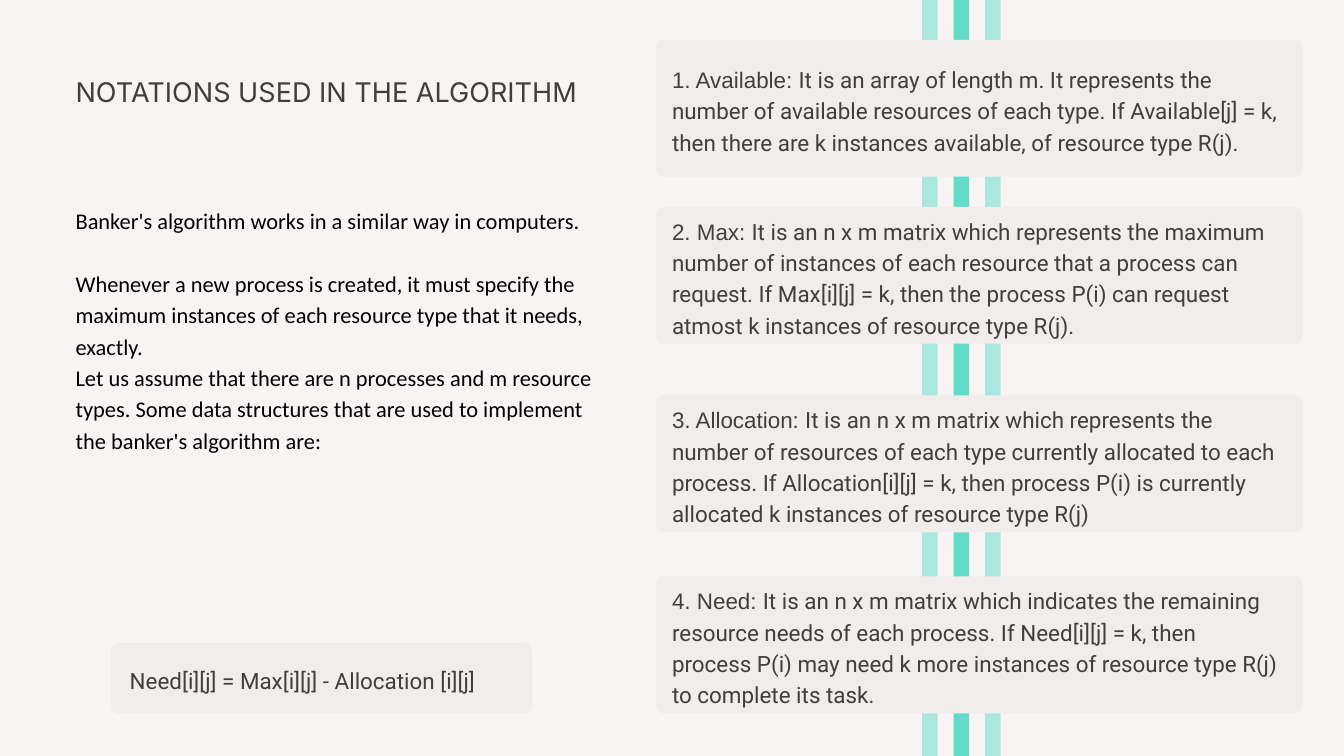
import pptx
import pptx.dml.color
import pptx.enum.shapes
import pptx.enum.text
import pptx.oxml
import pptx.oxml.ns
import pptx.util

Pt = pptx.util.Pt
SHAPES = pptx.enum.shapes.MSO_SHAPE

COLORS = {
    "page": "F8F4F4",
    "card": "F2EDED",
    "mint": "62DBC8",
    "ink": "403F3D",
    "black": "000000",
}

CARD_LEFT, CARD_WIDTH, CARD_HEIGHT = 703, 692.8, 146.7
LINE = 32.4

# Top of the card, number of text lines, term, meaning
TERMS = [
    (42.6, 3, "1. Available: ",
     "It is an array of length m. It represents the number of available "
     "resources of each type. If Available[j] = k, then there are k instances "
     "available, of resource type R(j)."),
    (221.6, 4, "2. Max: ",
     "It is an n x m matrix which represents the maximum number of instances "
     "of each resource that a process can request. If Max[i][j] = k, then the "
     "process P(i) can request atmost k instances of resource type R(j)."),
    (423.6, 4, "3. Allocation: ",
     "It is an n x m matrix which represents the number of resources of each "
     "type currently allocated to each process. If Allocation[i][j] = k, then "
     "process P(i) is currently allocated k instances of resource type R(j)"),
    (617.6, 4, "4. Need: ",
     "It is an n x m matrix which indicates the remaining resource needs of "
     "each process. If Need[i][j] = k, then process P(i) may need k more "
     "instances of resource type R(j) to complete its task."),
]

INTRO = [
    "Banker's algorithm works in a similar way in computers.",
    "Whenever a new process is created, it must specify the maximum instances "
    "of each resource type that it needs, exactly.",
    "Let us assume that there are n processes and m resource types. Some data "
    "structures that are used to implement the banker's algorithm are:",
]


def color(name):
    return pptx.dml.color.RGBColor.from_string(COLORS[name])


def write(para, text, font="Roboto", size=24, ink="ink", lead=33.6, after=0):
    """Add a run to the paragraph and set the paragraph's spacing."""
    run = para.add_run()
    run.text = text
    run.font.name = font
    run.font.size = Pt(size)
    run.font.color.rgb = color(ink)
    para.line_spacing = Pt(lead)
    para.space_after = Pt(after)


class Deck:
    """Holds the presentation, the current slide and its style."""

    def __init__(self, width, height):
        self.show = pptx.Presentation()
        self.show.slide_width = Pt(width)
        self.show.slide_height = Pt(height)
        self.slide = self.show.slides.add_slide(self.show.slide_layouts[6])
        fill = self.slide.background.fill
        fill.solid()
        fill.fore_color.rgb = color("page")

    def shape(self, kind, box, fill):
        shape = self.slide.shapes.add_shape(kind, *map(Pt, box))
        shape.shadow.inherit = False
        shape.fill.solid()
        shape.fill.fore_color.rgb = color(fill)
        shape.line.fill.background()
        return shape

    def bar(self, box, alpha=100):
        bar = self.shape(SHAPES.RECTANGLE, box, "mint")
        if alpha < 100:
            tint = bar.fill._xPr.find(".//" + pptx.oxml.ns.qn("a:srgbClr"))
            node = pptx.oxml.parse_xml(
                f'<a:alpha {pptx.oxml.ns.nsdecls("a")} val="{alpha * 1000}"/>')
            tint.append(node)

    def card(self, box, radius=7.6):
        card = self.shape(SHAPES.ROUNDED_RECTANGLE, box, "card")
        card.adjustments[0] = radius / min(box[2:])

    def text(self, box, paras, **style):
        """Draw paragraphs, each a list of (text, format) runs."""
        frame = self.slide.shapes.add_textbox(*map(Pt, box)).text_frame
        frame.word_wrap = True
        frame.auto_size = pptx.enum.text.MSO_AUTO_SIZE.SHAPE_TO_FIT_TEXT
        frame.margin_left = frame.margin_right = 0
        frame.margin_top = frame.margin_bottom = 0
        for i, runs in enumerate(paras):
            para = frame.add_paragraph() if i else frame.paragraphs[0]
            for text, form in runs:
                write(para, text, **{**style, **form})


def main():
    deck = Deck(1440, 810)
    for i, alpha in enumerate((50, 100, 50)):
        deck.bar((988 + 33.7 * i, 0, 16.7, 810), alpha)

    deck.text((81, 84, 565, 33), [[("NOTATIONS USED IN THE ALGORITHM", {})]],
              font="Inter", size=29, lead=31.9)
    gaps = (33.6, 0, 0)
    deck.text((81, 217.5, 565, 296),
              [[(text, {"after": gap})] for text, gap in zip(INTRO, gaps)],
              font="Calibri", ink="black")

    for top, lines, term, text in TERMS:
        deck.card((CARD_LEFT, top, CARD_WIDTH, CARD_HEIGHT))
        height = lines * LINE
        start = top + (CARD_HEIGHT - height) / 2 - 1.5
        deck.text((720, start, 649, height),
                  [[(term, {"font": "Arial"}), (text, {})]])

    deck.card((119, 689.2, 451.3, 75.1))
    deck.text((139, 710, 412, 31),
              [[("Need[i][j] = Max[i][j] - Allocation [i][j]", {})]])
    deck.show.save("out.pptx")


if __name__ == "__main__":
    main()
